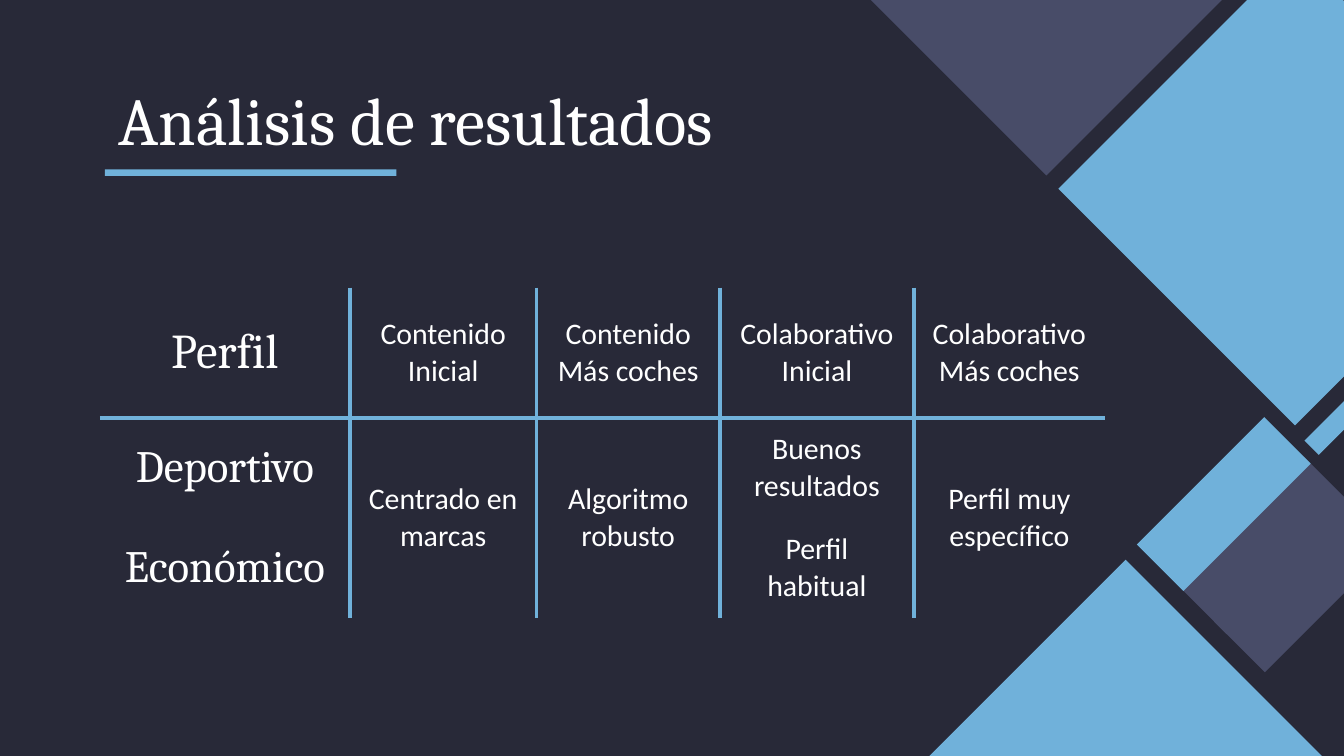
from lxml import etree
from pptx import Presentation
from pptx.dml.color import RGBColor
from pptx.enum.shapes import MSO_SHAPE
from pptx.enum.text import MSO_ANCHOR, MSO_AUTO_SIZE, PP_ALIGN
from pptx.oxml.ns import qn
from pptx.util import Pt


def color(value):
    return RGBColor.from_string(value)


class Slide:
    NIGHT, VIOLET, SKY, WHITE = "282938", "484C68", "70B1DA", "FFFFFF"
    SERIF, SANS = "Cambria", "Calibri"
    INSET = 7.2
    RULE = 2.25

    def __init__(self, deck):
        self.page = deck.slides.add_slide(deck.slide_layouts[5])
        fill = self.page.background.fill
        fill.solid()
        fill.fore_color.rgb = color(self.NIGHT)

    def bar(self, left, top, width, height, paint, angle=0):
        box = self.page.shapes.add_shape(
            MSO_SHAPE.RECTANGLE, Pt(left), Pt(top), Pt(width), Pt(height))
        box.rotation = angle
        box.shadow.inherit = False
        box.fill.solid()
        box.fill.fore_color.rgb = color(paint)
        box.line.fill.background()

    def add_text(self, para, text, font, size, align):
        para.alignment = align
        span = para.add_run()
        span.text = text
        span.font.name = font
        span.font.size = Pt(size)
        span.font.color.rgb = color(self.WHITE)

    def title(self, text, left, top, width, height):
        box = self.page.shapes.title
        box.left, box.top, box.width, box.height = map(Pt, (left, top, width, height))
        frame = box.text_frame
        frame.word_wrap = True
        frame.auto_size = MSO_AUTO_SIZE.NONE
        frame.vertical_anchor = MSO_ANCHOR.MIDDLE
        frame.margin_left = frame.margin_right = Pt(self.INSET)
        frame.margin_top = frame.margin_bottom = Pt(self.INSET)
        self.add_text(frame.paragraphs[0], text, self.SERIF, 36, PP_ALIGN.LEFT)

    def border(self, cell, side, shown):
        properties = cell._tc.get_or_add_tcPr()
        line = etree.SubElement(properties, qn(f"a:ln{side}"), w=str(Pt(self.RULE)))
        if shown:
            fill = etree.SubElement(line, qn("a:solidFill"))
            etree.SubElement(fill, qn("a:srgbClr"), val=self.SKY)
        else:
            etree.SubElement(line, qn("a:noFill"))

    def cell(self, cell, text, font, size):
        cell.vertical_anchor = MSO_ANCHOR.MIDDLE
        cell.margin_left = cell.margin_right = Pt(self.INSET)
        cell.margin_top = cell.margin_bottom = Pt(self.INSET)
        frame = cell.text_frame
        for index, line in enumerate(text.split("\n")):
            para = frame.add_paragraph() if index else frame.paragraphs[0]
            self.add_text(para, line, font, size, PP_ALIGN.CENTER)

    def table(self, left, top, widths, heights, rows):
        table = self.page.shapes.add_table(
            len(heights), len(widths), Pt(left), Pt(top),
            Pt(sum(widths)), Pt(sum(heights))).table
        table.first_row = table.horz_banding = False
        for column, width in zip(table.columns, widths):
            column.width = Pt(width)
        for row, height in zip(table.rows, heights):
            row.height = Pt(height)
        last = len(widths) - 1
        for r, texts in enumerate(rows):
            for c, text in enumerate(texts):
                cell = table.cell(r, c)
                # Only the inner column lines and the line under the header show
                for side, shown in (("L", c > 0), ("R", c < last),
                                    ("T", r == 1), ("B", r == 0)):
                    self.border(cell, side, shown)
                cell.fill.background()
                # None continues the cell above
                if text is None:
                    table.cell(r - 1, c).merge(cell)
                elif c == 0:
                    self.cell(cell, text, self.SERIF, 24 if r else 26)
                else:
                    self.cell(cell, text, self.SANS, 16)


def main():
    deck = Presentation()
    deck.slide_width, deck.slide_height = Pt(720), Pt(405)
    slide = Slide(deck)

    # Tilted decoration
    for left, top, width, height, paint in (
            (470.9, -122.4, 179.3, 179.3, Slide.VIOLET),
            (654.5, 254.2, 67, 96.5, Slide.VIOLET),
            (637.9, 221.8, 35.3, 96.5, Slide.SKY),
            (604.1, 11.5, 179.3, 179.3, Slide.SKY),
            (752.4, 106.6, 10.8, 156.2, Slide.SKY),
            (513.4, 337, 179.3, 179.3, Slide.SKY)):
        slide.bar(left, top, width, height, paint, 45)

    # Results by profile
    slide.table(53.5, 154.1, [133.9, 100.1, 98.2, 104, 102.2], [69.8, 41, 41], [
        ["Perfil", "Contenido\nInicial", "Contenido\nMás coches",
         "Colaborativo\nInicial", "Colaborativo\nMás coches"],
        ["Deportivo", "Centrado en marcas", "Algoritmo robusto",
         "Buenos resultados", "Perfil muy específico"],
        ["Económico", None, None, "Perfil habitual", None],
    ])

    # Title and its underline
    slide.title("Análisis de resultados", 56.2, 42.5, 607.7, 42.5)
    slide.bar(56.2, 90.7, 156.2, 3.6, Slide.SKY)

    deck.save("out.pptx")


if __name__ == "__main__":
    main()
